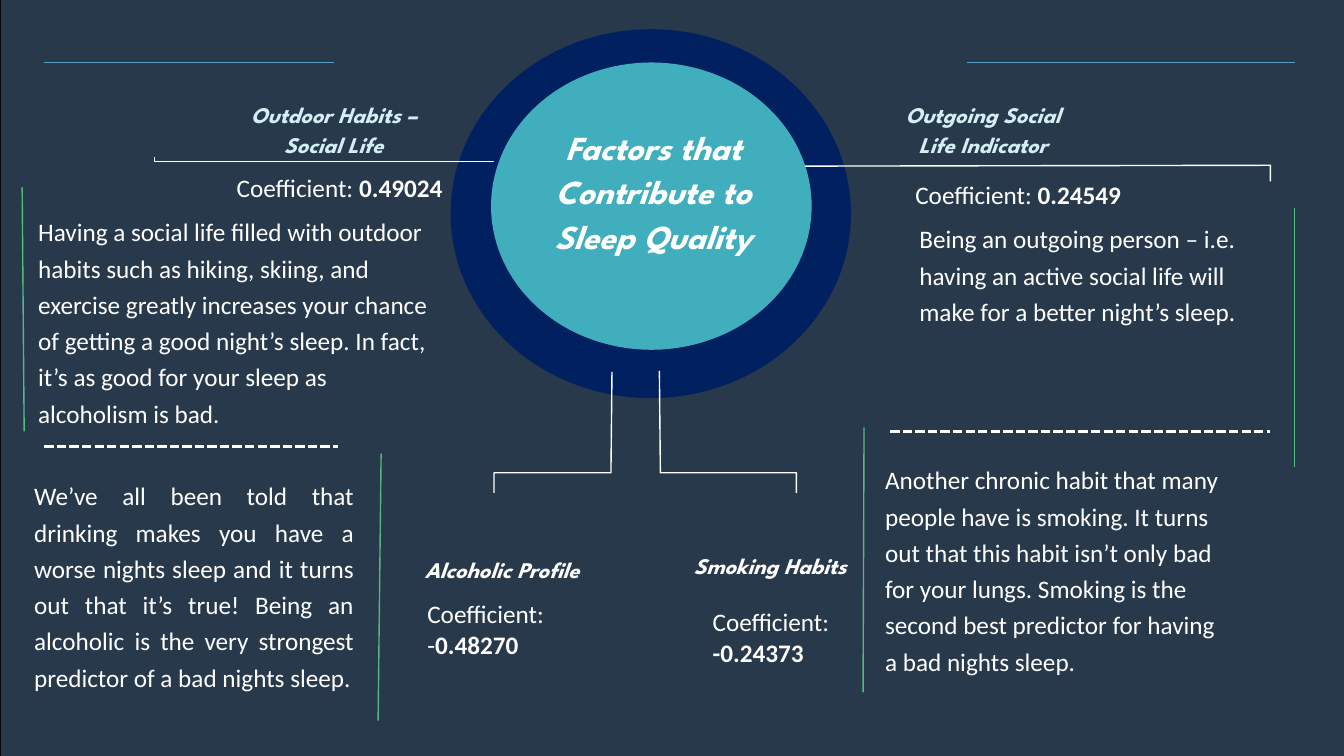
from dataclasses import dataclass

from lxml import etree
from pptx import Presentation
from pptx.dml.color import RGBColor
from pptx.enum.dml import MSO_LINE
from pptx.enum.shapes import MSO_CONNECTOR, MSO_SHAPE
from pptx.enum.text import MSO_ANCHOR, MSO_AUTO_SIZE, PP_ALIGN
from pptx.oxml.ns import qn
from pptx.util import Inches, Pt

LEFT, MID, FULL = PP_ALIGN.LEFT, PP_ALIGN.CENTER, PP_ALIGN.JUSTIFY
TOP, GROW = MSO_ANCHOR.TOP, MSO_AUTO_SIZE.SHAPE_TO_FIT_TEXT
RECT, OVAL = MSO_SHAPE.RECTANGLE, MSO_SHAPE.OVAL
STRAIGHT, DASH = MSO_CONNECTOR.STRAIGHT, MSO_LINE.SQUARE_DOT

COLORS = {
    "black": "000000", "slate": "28394C", "navy": "002060", "teal": "41AEBD",
    "white": "FFFFFF", "pale": "D4EFF4", "green": "56B87E", "blue": "56A2C3",
}
HEAD, BODY = "League Spartan", "Calibri"
COLS, ROWS = 133.3, 75  # grid of square cells, a tenth of an inch each


@dataclass
class Block:
    """Text placed at a column and row; bold is a second, bold run."""
    col: float
    row: float
    wide: float
    high: float
    text: str
    bold: str = ""
    size: int = 18
    font: str = BODY
    color: str = "white"
    align: PP_ALIGN = LEFT
    space: float = 1.0


@dataclass
class Rule:
    """A straight line between two grid points."""
    start: tuple[float, float]
    end: tuple[float, float]
    color: str
    width: float = 1
    dash: bool = False


def cell(n: float) -> int:
    return Inches(n / 10)


def tint(name: str) -> RGBColor:
    return RGBColor.from_string(COLORS[name])


def add_form(slide, kind, col: float, row: float, wide: float, high: float,
             color: str) -> None:
    form = slide.shapes.add_shape(kind, *map(cell, (col, row, wide, high)))
    form.shadow.inherit = False
    form.fill.solid()
    form.fill.fore_color.rgb = tint(color)
    form.line.fill.background()


def add_path(slide, points: list[tuple[float, float]]) -> None:
    start, *rest = [(cell(x), cell(y)) for x, y in points]
    pen = slide.shapes.build_freeform(*start)
    pen.add_line_segments(rest, close=False)
    path = pen.convert_to_shape()
    path.shadow.inherit = False
    path.fill.background()
    path.line.color.rgb = tint("white")
    path.line.width = Pt(1)


def add_rule(slide, rule: Rule) -> None:
    line = slide.shapes.add_connector(
        STRAIGHT, *map(cell, rule.start + rule.end))
    line.line.color.rgb = tint(rule.color)
    line.line.width = Pt(rule.width)
    if rule.dash:
        line.line.dash_style = DASH
    etree.SubElement(line._element.spPr, qn("a:effectLst"))


def fill_text(shape, block: Block) -> None:
    shape.left, shape.top, shape.width, shape.height = map(
        cell, (block.col, block.row, block.wide, block.high))
    frame = shape.text_frame
    frame.text = block.text
    frame.word_wrap = True
    frame.auto_size = GROW
    frame.vertical_anchor = TOP
    para = frame.paragraphs[0]
    para.alignment = block.align
    para.line_spacing = block.space
    if block.bold:
        para.add_run().text = block.bold
    for i, run in enumerate(para.runs):
        font = run.font
        font.name, font.size = block.font, Pt(block.size)
        font.color.rgb = tint(block.color)
        font.bold = block.font == HEAD or i > 0
        font.italic = block.font == HEAD


def label(col: float, row: float, high: float, text: str,
          color: str) -> Block:
    return Block(col, row, 21.2, high, text, size=16, font=HEAD,
                 color=color, align=MID, space=1.1)


def story(col: float, row: float, wide: float, high: float, text: str,
          align: PP_ALIGN = LEFT) -> Block:
    return Block(col, row, wide, high, text, align=align, space=1.2)


def score(col: float, row: float, wide: float, high: float, value: str,
          sign: str = "") -> Block:
    return Block(col, row, wide, high, "Coefficient: " + sign, value)


TITLE = Block(54, 11.7, 21.6, 18.8, "Factors that Contribute to Sleep Quality",
              size=24, font=HEAD, align=MID, space=1.1)

BLOCKS = [
    # Outdoor habits
    label(22.5, 9.3, 6.9, "Outdoor Habits – Social Life", "pale"),
    score(22.5, 16.6, 24.4, 4, "0.49024"),
    story(2.8, 20.4, 41.1, 22.8,
          "Having a social life filled with outdoor habits such as hiking, "
          "skiing, and exercise greatly increases your chance of getting a "
          "good night’s sleep. In fact, it’s as good for your sleep as "
          "alcoholism is bad."),
    # Outgoing social life
    label(86.9, 9.3, 6.9, "Outgoing Social Life Indicator", "pale"),
    score(89.8, 17.3, 25.9, 4, "0.24549"),
    story(90.2, 21.1, 36.4, 11.9,
          "Being an outgoing person – i.e. having an active social life will "
          "make for a better night’s sleep."),
    # Alcohol
    label(39.2, 54.4, 4, "Alcoholic Profile", "white"),
    score(41.4, 58.9, 14.7, 7.1, "0.48270", "-"),
    story(2.4, 46.6, 33.7, 22.8,
          "We’ve all been told that drinking makes you have a worse nights "
          "sleep and it turns out that it’s true! Being an alcoholic is the "
          "very strongest predictor of a bad nights sleep.", FULL),
    # Smoking
    label(65.8, 54, 4, "Smoking Habits", "white"),
    score(69.7, 59.7, 14.7, 7.1, "-0.24373"),
    story(86.8, 45, 36.4, 22.8,
          "Another chronic habit that many people have is smoking. It turns "
          "out that this habit isn’t only bad for your lungs. Smoking is the "
          "second best predictor for having a bad nights sleep."),
]

RULES = [
    Rule((4.4, 6.2), (33.1, 6.2), "blue"),
    Rule((95.9, 6.2), (128.4, 6.2), "blue"),
    Rule((2.2, 18.6), (2.4, 42.8), "green"),
    Rule((37.8, 45), (37.5, 71.5), "green"),
    Rule((85.7, 42.4), (85.6, 68.7), "green"),
    Rule((128.4, 20.6), (128.4, 46.3), "green"),
    Rule((4.4, 44.3), (33.5, 44.3), "white", 2.25, True),
    Rule((88.3, 42.8), (126, 42.8), "white", 2.25, True),
]

PATHS = [
    [(68.3, 8.2), (68.3, 16.5), (126, 16.4), (126, 18)],
    [(65.4, 36.8), (65.5, 46.9), (79, 46.9), (79, 48.9)],
    [(60.7, 36.9), (60.6, 46.9), (49, 46.9), (49, 48.9)],
    [(15.3, 15.6), (15.3, 16), (48.9, 16), (48.9, 16.1)],
]


def main() -> None:
    deck = Presentation()
    deck.slide_width, deck.slide_height = cell(COLS), cell(ROWS)
    slide = deck.slides.add_slide(deck.slide_layouts[5])

    # Backdrop
    slide.background.fill.solid()
    slide.background.fill.fore_color.rgb = tint("black")
    add_form(slide, RECT, 0.1, -0.7, COLS - 0.1, ROWS + 0.7, "slate")

    # Hub with its branches
    add_form(slide, OVAL, 44.7, 2.9, 39.7, 36.6, "navy")
    for points in PATHS:
        add_path(slide, points)
    add_form(slide, OVAL, 48.7, 6.2, 31.8, 28.5, "teal")

    # Title, raised above the hub
    title = slide.shapes.title
    fill_text(title, TITLE)
    slide.shapes._spTree.append(title._element)

    # Lines and text
    for rule in RULES:
        add_rule(slide, rule)
    for block in BLOCKS:
        fill_text(slide.shapes.add_textbox(0, 0, 0, 0), block)

    deck.save("out.pptx")


if __name__ == "__main__":
    main()
